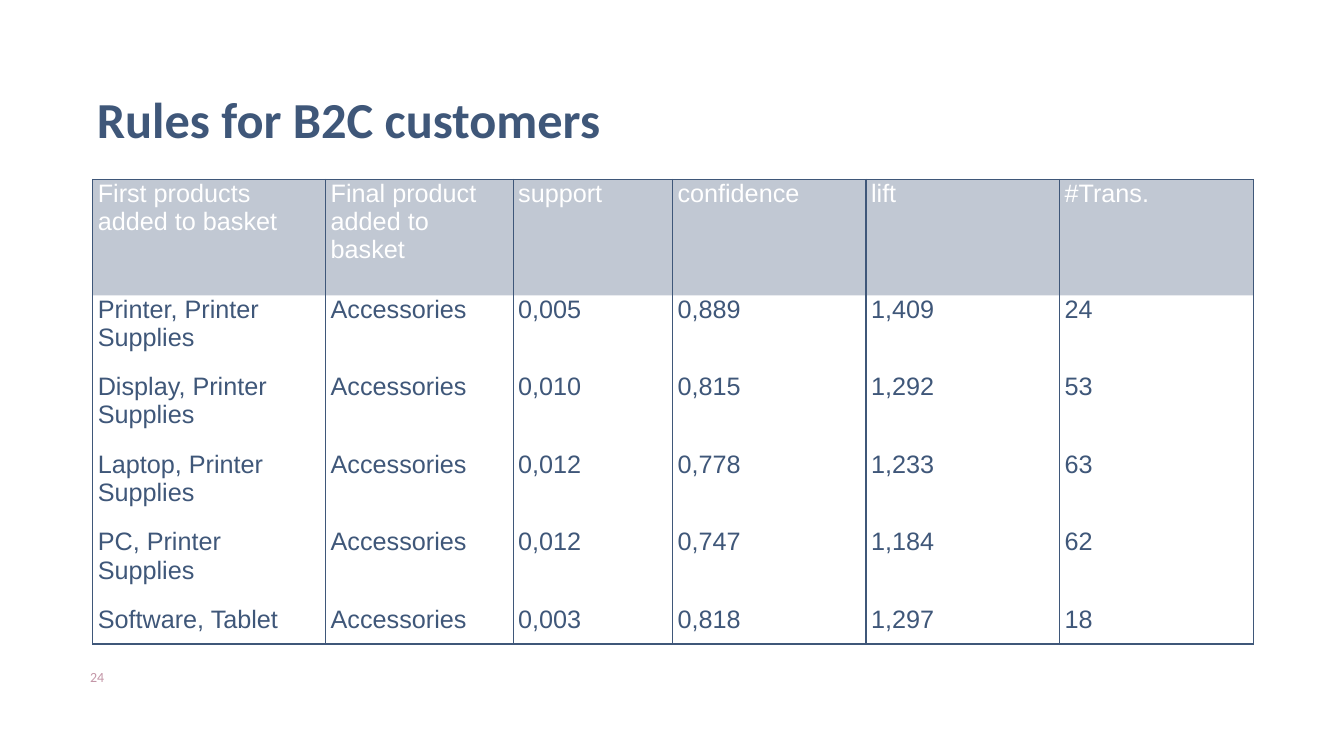
import dataclasses

import lxml.etree
import pptx
import pptx.dml.color
import pptx.enum.text
import pptx.oxml.ns
import pptx.util

EMU_PER_PX = 9144  # 100 px to the inch
COLORS = {"navy": "3F5779", "white": "FFFFFF", "rose": "C396A7"}
HEADER_ALPHA = 32000
LINE_WIDTH = pptx.util.Pt(1)

COL_WIDTHS = [231, 186, 158, 192, 192, 192]
ROW_HEIGHTS = [115, 77, 77, 77, 77, 38]
HEADERS = ["First products added to basket", "Final product added to basket",
           "support", "confidence", "lift", "#Trans."]


@dataclasses.dataclass
class Rule:
    first: str
    final: str
    support: str
    confidence: str
    lift: str
    transactions: str


RULES = [
    Rule("Printer, Printer Supplies", "Accessories", "0,005", "0,889", "1,409", "24"),
    Rule("Display, Printer Supplies", "Accessories", "0,010", "0,815", "1,292", "53"),
    Rule("Laptop, Printer Supplies", "Accessories", "0,012", "0,778", "1,233", "63"),
    Rule("PC, Printer Supplies", "Accessories", "0,012", "0,747", "1,184", "62"),
    Rule("Software, Tablet", "Accessories", "0,003", "0,818", "1,297", "18"),
]


def px(n: int) -> int:
    return pptx.util.Emu(n * EMU_PER_PX)


def set_font(p, name: str, size: int, color: str, bold: bool = False) -> None:
    p.font.name = name
    p.font.size = pptx.util.Pt(size)
    p.font.bold = bold
    p.font.color.rgb = pptx.dml.color.RGBColor.from_string(COLORS[color])


def set_margins(box, left: int, right: int) -> None:
    box.margin_left, box.margin_right = px(left), px(right)
    box.margin_top = box.margin_bottom = 0


def set_borders(cell, visible: str) -> None:
    """Draw the named sides (of L, R, T, B) and clear the others."""
    qn = pptx.oxml.ns.qn
    tcPr = cell._tc.get_or_add_tcPr()
    for i, side in enumerate("LRTB"):
        ln = lxml.etree.Element(qn(f"a:ln{side}"), w=str(LINE_WIDTH))
        if side in visible:
            fill = lxml.etree.SubElement(ln, qn("a:solidFill"))
            lxml.etree.SubElement(fill, qn("a:srgbClr"), val=COLORS["navy"])
        else:
            lxml.etree.SubElement(ln, qn("a:noFill"))
        tcPr.insert(i, ln)


def fill_header(cell) -> None:
    qn = pptx.oxml.ns.qn
    cell.fill.solid()
    cell.fill.fore_color.rgb = pptx.dml.color.RGBColor.from_string(COLORS["navy"])
    color = cell._tc.tcPr.find(f".//{qn('a:srgbClr')}")
    lxml.etree.SubElement(color, qn("a:alpha"), val=str(HEADER_ALPHA))


def add_title(s) -> None:
    sp = s.shapes.title
    sp.left, sp.top, sp.width, sp.height = px(92), px(6), px(1014), px(142)
    tf = sp.text_frame
    tf.text = "Rules for B2C customers"
    tf.word_wrap = True
    tf.auto_size = pptx.enum.text.MSO_AUTO_SIZE.NONE
    tf.vertical_anchor = pptx.enum.text.MSO_ANCHOR.BOTTOM
    set_margins(tf, 4, 0)
    p = tf.paragraphs[0]
    p.alignment = pptx.enum.text.PP_ALIGN.LEFT
    p.line_spacing = 0.9
    set_font(p, "Calibri", 36, "navy", bold=True)


def add_rules_table(s) -> None:
    rows = [HEADERS] + [list(dataclasses.astuple(rule)) for rule in RULES]
    table = s.shapes.add_table(len(rows), len(HEADERS), px(92), px(178),
                               px(sum(COL_WIDTHS)), px(sum(ROW_HEIGHTS))).table
    table.horz_banding = table.first_row = False
    for column, width in zip(table.columns, COL_WIDTHS):
        column.width = px(width)
    for i, (row, height) in enumerate(zip(rows, ROW_HEIGHTS)):
        table.rows[i].height = px(height)
        is_header, is_last = i == 0, i == len(rows) - 1
        for j, text in enumerate(row):
            cell = table.cell(i, j)
            cell.text = text
            set_margins(cell, 5, 5)
            set_font(cell.text_frame.paragraphs[0], "Arial", 18,
                     "white" if is_header else "navy")
            if is_header:
                fill_header(cell)
            else:
                cell.fill.background()
            set_borders(cell, "LR" + "T" * is_header + "B" * is_last)


def add_page_number(s) -> None:
    tf = s.shapes.add_textbox(px(70), px(663), px(43), px(26)).text_frame
    tf.text = "24"
    tf.word_wrap = True
    set_margins(tf, 10, 0)
    p = tf.paragraphs[0]
    p.alignment = pptx.enum.text.PP_ALIGN.CENTER
    set_font(p, "Calibri", 10, "rose")


def main() -> None:
    prs = pptx.Presentation()
    prs.slide_width, prs.slide_height = px(1333), px(750)
    s = prs.slides.add_slide(prs.slide_layouts[5])  # Title Only

    # Title
    add_title(s)
    # Association rules
    add_rules_table(s)
    # Footer
    add_page_number(s)

    prs.save("out.pptx")


if __name__ == "__main__":
    main()
